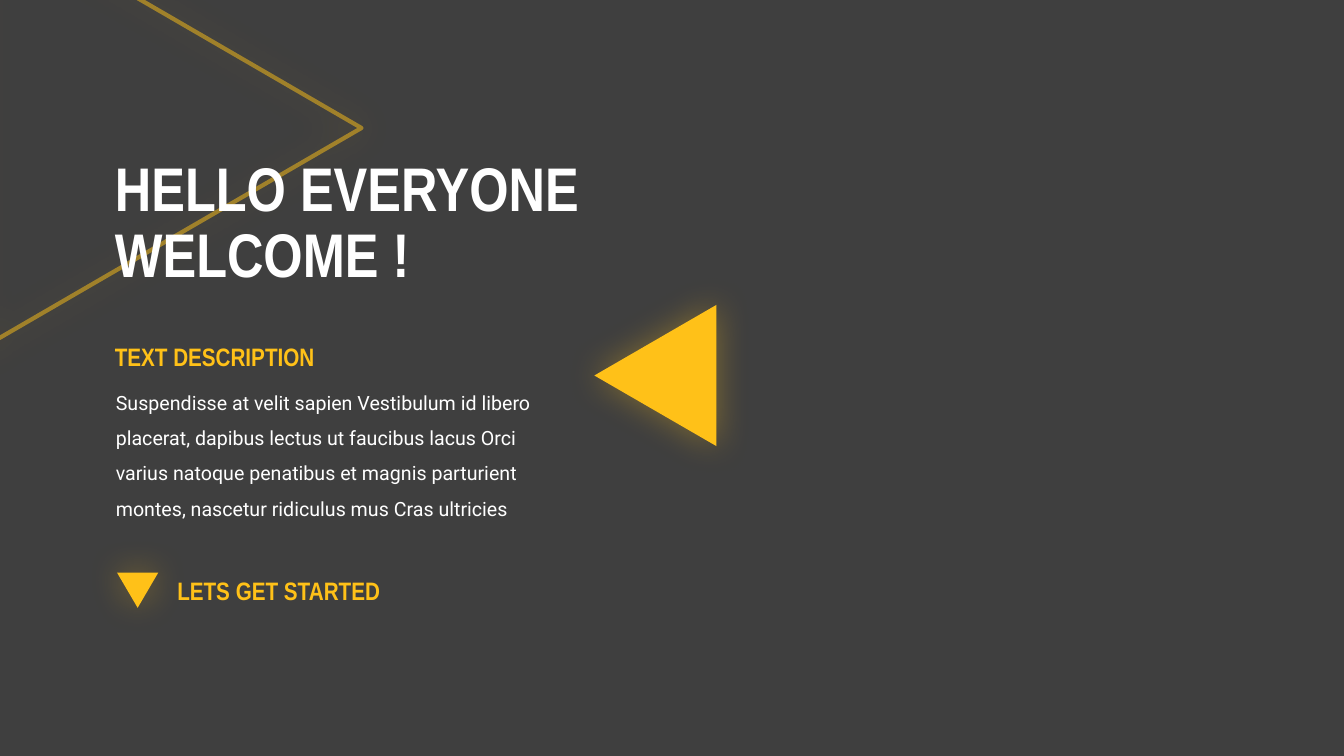
import dataclasses

import pptx
import pptx.dml.color
import pptx.enum.shapes
import pptx.enum.text
import pptx.oxml.ns
import pptx.util
from lxml import etree

Inches, Pt = pptx.util.Inches, pptx.util.Pt
MSO_ANCHOR = pptx.enum.text.MSO_ANCHOR
MSO_AUTO_SIZE = pptx.enum.text.MSO_AUTO_SIZE
qn = pptx.oxml.ns.qn


@dataclasses.dataclass(frozen=True)
class Theme:
    background: str = "3F3F3F"
    accent: str = "FFC118"
    text: str = "FFFFFF"
    heading_font: str = "Arial Narrow"
    body_font: str = "Roboto"
    title_size: int = 44
    heading_size: int = 18
    body_size: int = 14
    outline_width: int = 3
    outline_alpha: int = 50
    glow_alpha: int = 35
    glow_blur: int = 25


def rgb(value):
    return pptx.dml.color.RGBColor.from_string(value)


def add_alpha(color, percent):
    etree.SubElement(color, qn("a:alpha"), val=str(percent * 1000))


def write_text(tf, text, *, font, size, color, bold=False, spacing=1.0,
               anchor=MSO_ANCHOR.TOP, fit=MSO_AUTO_SIZE.SHAPE_TO_FIT_TEXT):
    tf.word_wrap = True
    tf.auto_size = fit
    tf.vertical_anchor = anchor
    p = tf.paragraphs[0]
    p.alignment = pptx.enum.text.PP_ALIGN.LEFT
    p.line_spacing = spacing
    for i, line in enumerate(text.split("\n")):
        if i:
            p.add_line_break()
        r = p.add_run()
        r.text = line
        r.font.name, r.font.size, r.font.bold = font, Pt(size), bold
        r.font.color.rgb = rgb(color)


class SlideBuilder:
    def __init__(self, prs, theme):
        self.theme = theme
        self.s = prs.slides.add_slide(prs.slide_layouts[0])
        fill = self.s.background.fill
        fill.solid()
        fill.fore_color.rgb = rgb(theme.background)
        subtitle = self.s.placeholders[1].element
        subtitle.getparent().remove(subtitle)

    def title(self, text, x, y, w, h):
        sp = self.s.shapes.title
        sp.left, sp.top, sp.width, sp.height = map(Inches, (x, y, w, h))
        write_text(sp.text_frame, text, font=self.theme.heading_font,
                   size=self.theme.title_size, color=self.theme.text, bold=True,
                   spacing=0.9, anchor=MSO_ANCHOR.MIDDLE, fit=MSO_AUTO_SIZE.NONE)

    def text_box(self, text, x, y, w, h, **style):
        sp = self.s.shapes.add_textbox(*map(Inches, (x, y, w, h)))
        write_text(sp.text_frame, text, **style)

    def heading(self, text, x, y):
        self.text_box(text, x, y, 2.45, 0.4, font=self.theme.heading_font,
                      size=self.theme.heading_size, color=self.theme.accent, bold=True)

    def body(self, text, x, y, w, h):
        self.text_box(text, x, y, w, h, font=self.theme.body_font,
                      size=self.theme.body_size, color=self.theme.text, spacing=1.5)

    def triangle(self, x, y, w, h, rotation, outlined=False):
        t = self.theme
        sp = self.s.shapes.add_shape(
            pptx.enum.shapes.MSO_SHAPE.ISOSCELES_TRIANGLE, *map(Inches, (x, y, w, h)))
        sp.rotation = rotation
        if outlined:
            sp.fill.background()
            sp.line.color.rgb = rgb(t.accent)
            sp.line.width = Pt(t.outline_width)
            outline = sp.element.spPr.find(qn("a:ln"))
            add_alpha(outline.find(".//" + qn("a:srgbClr")), t.outline_alpha)
        else:
            sp.fill.solid()
            sp.fill.fore_color.rgb = rgb(t.accent)
            sp.line.fill.background()
        self.glow(sp)

    def glow(self, sp):
        # A centred, blurred shadow in the accent colour
        sp.shadow.inherit = False
        effects = sp.element.spPr.find(qn("a:effectLst"))
        shadow = etree.SubElement(
            effects, qn("a:outerShdw"), blurRad=str(Pt(self.theme.glow_blur)),
            dist="0", dir="0", algn="ctr", rotWithShape="0")
        color = etree.SubElement(shadow, qn("a:srgbClr"), val=self.theme.accent)
        add_alpha(color, self.theme.glow_alpha)


def main():
    prs = pptx.Presentation()
    prs.slide_width, prs.slide_height = Inches(13.33), Inches(7.5)
    slide = SlideBuilder(prs, Theme())

    # Title
    slide.title("HELLO EVERYONE\nWELCOME !", 1.04, 1.44, 7.5, 1.58)

    # Large triangles; the outline goes behind the title
    slide.triangle(-0.52, -0.63, 4.41, 3.8, 90, outlined=True)
    tree = slide.s.shapes.element
    tree.append(slide.s.shapes.title.element)
    slide.triangle(5.8, 3.12, 1.4, 1.21, 270)

    # Description
    slide.body("Suspendisse at velit sapien Vestibulum id libero placerat, "
               "dapibus lectus ut faucibus lacus Orci varius natoque penatibus "
               "et magnis parturient montes, nascetur ridiculus mus Cras ultricies",
               1.05, 3.71, 4.51, 1.48)
    slide.heading("TEXT DESCRIPTION", 1.04, 3.34)

    # Call to action
    slide.triangle(1.16, 5.68, 0.41, 0.35, 180)
    slide.heading("LETS GET STARTED", 1.66, 5.66)

    prs.save("out.pptx")


if __name__ == "__main__":
    main()
